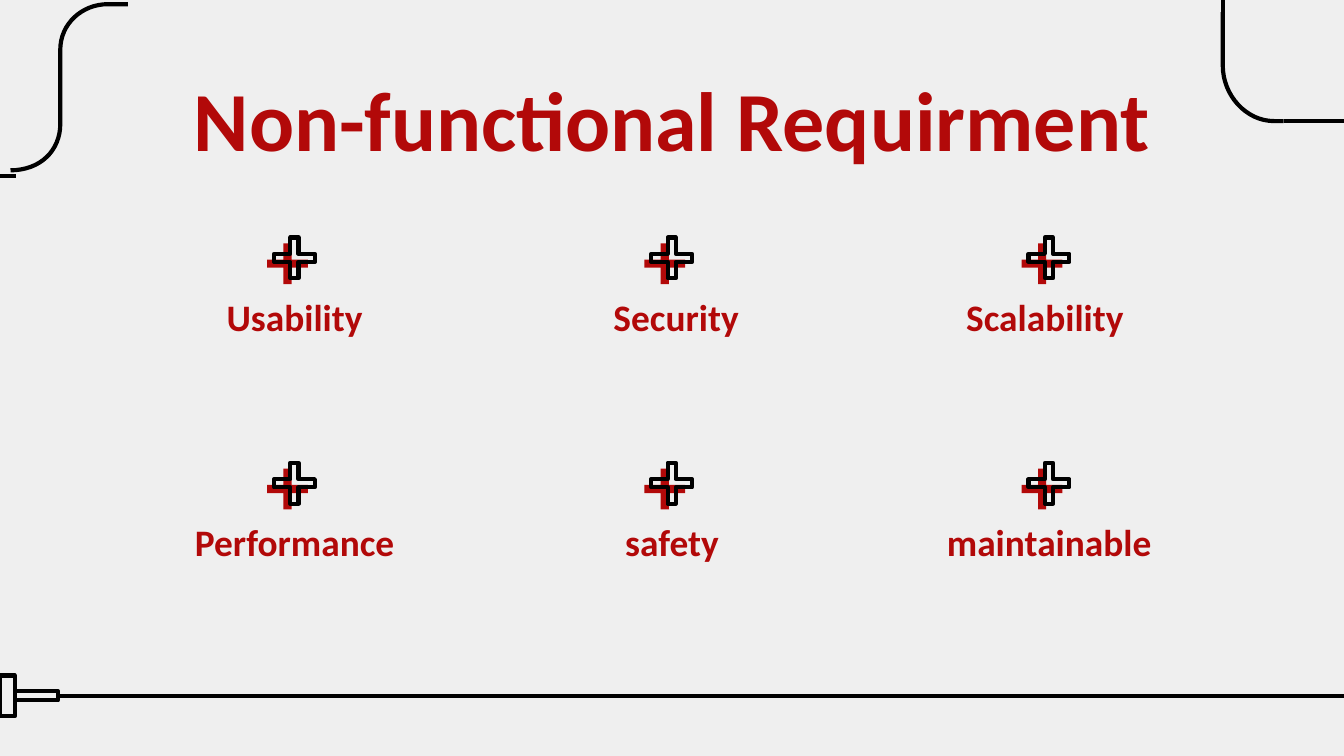
from pptx import Presentation
from pptx.dml.color import RGBColor
from pptx.enum.shapes import MSO_CONNECTOR, MSO_SHAPE
from pptx.enum.text import MSO_ANCHOR, PP_ALIGN
from pptx.oxml.ns import qn
from pptx.util import Cm, Pt
from lxml import etree

RED = "B20909"
BLACK = "000000"
MARGIN = Cm(0.25)


def rgb(value):
    return RGBColor.from_string(value)


def format_text(tf, text, size, anchor):
    tf.word_wrap = True
    tf.vertical_anchor = anchor
    tf.margin_left = tf.margin_right = tf.margin_top = tf.margin_bottom = MARGIN
    tf.text = text
    p = tf.paragraphs[0]
    p.alignment = PP_ALIGN.CENTER
    font = p.runs[0].font
    font.name, font.size, font.bold = "Calibri", Pt(size), True
    font.color.rgb = rgb(RED)


prs = Presentation()
prs.slide_width, prs.slide_height = Cm(25.4), Cm(14.29)
slide = prs.slides.add_slide(prs.slide_layouts[5])
slide.background.fill.solid()
slide.background.fill.fore_color.rgb = rgb("EFEFEF")
shapes = slide.shapes

# Plug at the lower left
outlined = []
for x, y, w, h in [(0, 12.77, 0.28, 0.77), (0.28, 13.07, 0.82, 0.17)]:
    outlined.append(shapes.add_shape(MSO_SHAPE.RECTANGLE, Cm(x), Cm(y), Cm(w), Cm(h)))

# Cables in the corners: two points make a straight part, four a Bézier curve
left_cable = [
    [(0.2, 3.22), (0.76, 3.22), (1.14, 2.85), (1.14, 2.34)],
    [(1.14, 2.34), (1.14, 0.94)],
    [(1.14, 0.94), (1.14, 0.45), (1.55, 0.08), (2.04, 0.08)],
    [(2.04, 0.08), (2.42, 0.08)],
]
right_cable = [
    [(23.11, 0.23), (23.11, 1.24)],
    [(23.11, 1.24), (23.11, 1.8), (23.55, 2.29), (24.08, 2.29)],
    [(24.08, 2.29), (24.26, 2.29)],
]
STEPS = 16
for cable in (left_cable, right_cable):
    points = [cable[0][0]]
    for part in cable:
        if len(part) == 2:
            points.append(part[1])
            continue
        for i in range(1, STEPS + 1):
            t = i / STEPS
            weights = ((1 - t) ** 3, 3 * t * (1 - t) ** 2, 3 * t ** 2 * (1 - t), t ** 3)
            points.append(tuple(sum(k * pt[axis] for k, pt in zip(weights, part))
                                for axis in (0, 1)))
    points = [(round(x * 1000), round(y * 1000)) for x, y in points]
    builder = shapes.build_freeform(*points[0], scale=Cm(0.001))
    builder.add_line_segments(points[1:], close=False)
    outlined.append(builder.convert_to_shape())

# Straight cables
for x1, y1, x2, y2 in [
    (1.1, 13.16, 25.43, 13.16),
    (23.11, -1.75, 23.11, 0.23),
    (25.53, 2.29, 24.26, 2.29),
    (0.3, 3.33, -0.2, 3.33),
]:
    line = shapes.add_connector(MSO_CONNECTOR.STRAIGHT, Cm(x1), Cm(y1), Cm(x2), Cm(y2))
    line.line.color.rgb = rgb(BLACK)
    line.line.width = Pt(2.25)
    etree.SubElement(line._element.spPr, qn("a:effectLst"))

title = shapes.title
title.left, title.top, title.width, title.height = Cm(1.98), Cm(1.02), Cm(21.44), Cm(2.29)
format_text(title.text_frame, "Non-functional Requirment", 45, MSO_ANCHOR.TOP)

# Requirements in a grid, each under a plus sign with a red shadow
requirements = [
    ["Usability", " Security", "Scalability "],
    ["Performance", "safety", "maintainable"],
]
COLUMN_STEP, ROW_STEP = 7.13, 4.26
PLUS_SIZE = Cm(0.77)
for row, names in enumerate(requirements):
    for col, name in enumerate(names):
        dx, dy = col * COLUMN_STEP, row * ROW_STEP
        label = shapes.add_textbox(Cm(2.41 + dx), Cm(5.28 + dy), Cm(6.32), Cm(1.37))
        format_text(label.text_frame, name, 20, MSO_ANCHOR.BOTTOM)

        shadow, plus = [
            shapes.add_shape(MSO_SHAPE.CROSS, Cm(x + dx), Cm(y + dy), PLUS_SIZE, PLUS_SIZE)
            for x, y in [(5.05, 4.6), (5.18, 4.49)]
        ]
        for sp in (shadow, plus):
            sp.adjustments[0] = 0.4
        shadow.shadow.inherit = False
        shadow.fill.solid()
        shadow.fill.fore_color.rgb = rgb(RED)
        shadow.line.fill.background()
        outlined.append(plus)

for sp in outlined:
    sp.shadow.inherit = False
    sp.fill.background()
    sp.line.color.rgb = rgb(BLACK)
    sp.line.width = Pt(2.25)

prs.save("out.pptx")
